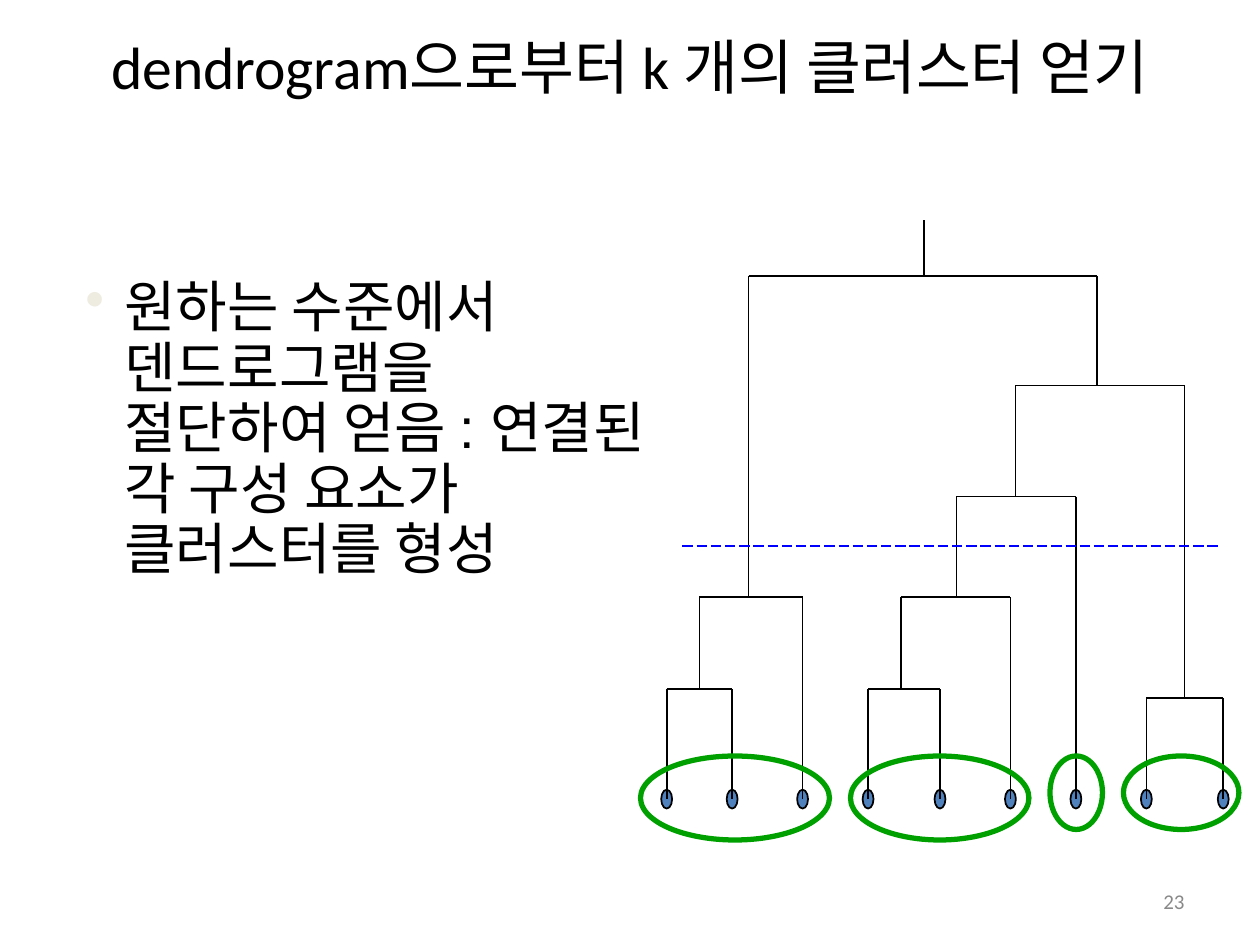
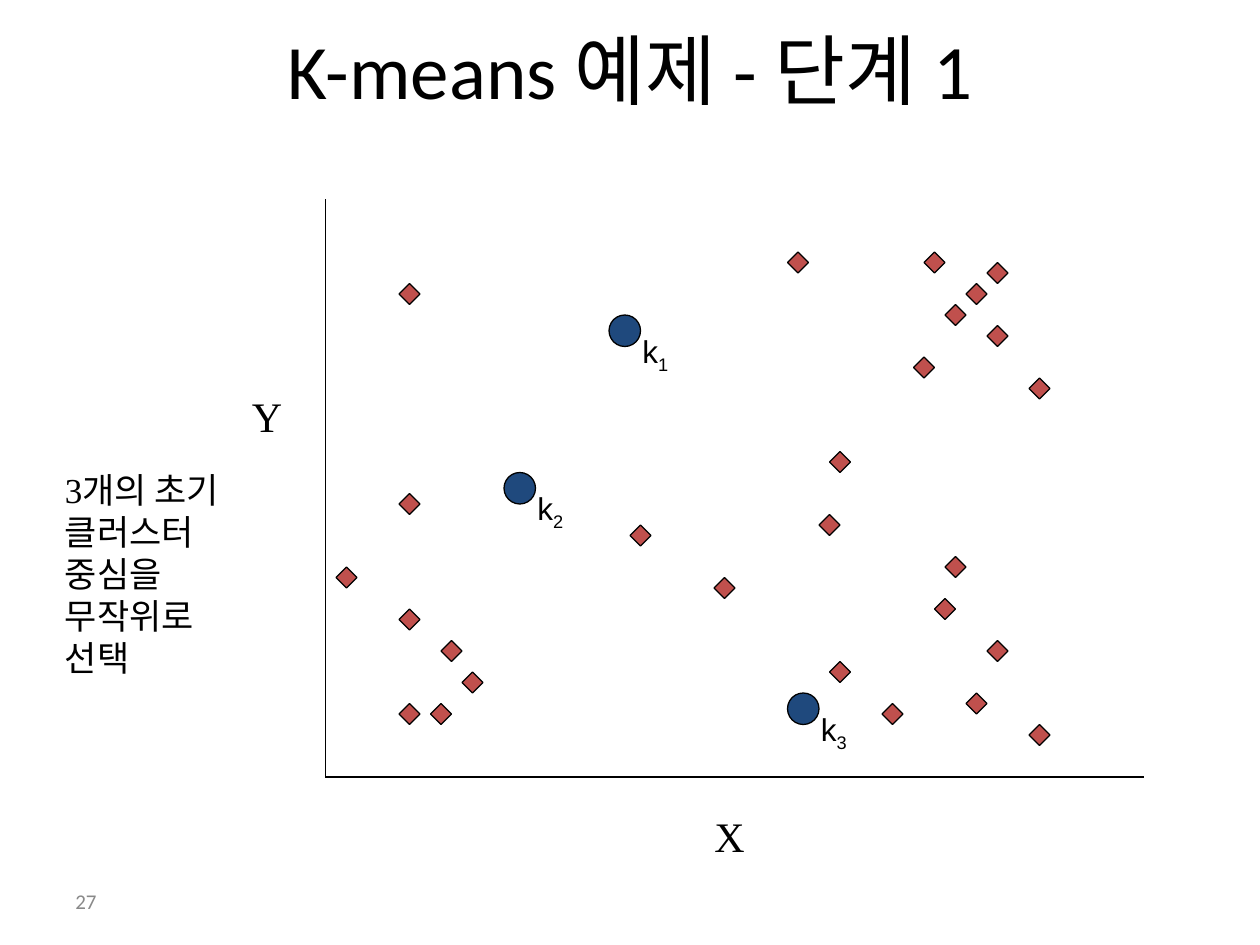
import pptx
import pptx.dml.color
import pptx.enum.dml
import pptx.enum.shapes
import pptx.enum.text
import pptx.oxml.ns
import pptx.util
from lxml import etree
from pptx.util import Cm

BLACK = "000000"
GREY = "898989"
LEAF_BLUE = "4F81BD"
CENTROID_BLUE = "1F497D"
POINT_RED = "C0504D"
RING_GREEN = "00A000"
CUT_BLUE = "0000FF"
BULLET_CREAM = "EEECE1"

HEADING_FONT = "Calibri"
LABEL_FONT = "Arial"
SERIF_FONT = "Times New Roman"

GRID_STEP = 2.54 / 12
LEAF_Y = 16.11

SHAPE = pptx.enum.shapes.MSO_SHAPE
ALIGN = pptx.enum.text.PP_ALIGN
ANCHOR = pptx.enum.text.MSO_ANCHOR


def color(hex_value):
    return pptx.dml.color.RGBColor.from_string(hex_value)


def cm(*values):
    return [Cm(value) for value in values]


def grid(*steps):
    """Turn counts of grid steps into lengths."""
    return [Cm(step * GRID_STEP) for step in steps]


def add_xml_child(parent, tag, **attributes):
    return etree.SubElement(parent, pptx.oxml.ns.qn(tag), attributes)


def add_bullet(paragraph, character, hex_value, margin, hanging):
    properties = paragraph._p.get_or_add_pPr()
    properties.set("marL", str(margin))
    properties.set("indent", str(-hanging))
    bullet_color = add_xml_child(properties, "a:buClr")
    add_xml_child(bullet_color, "a:srgbClr", val=hex_value)
    add_xml_child(properties, "a:buChar", char=character)


def add_text(slide, text, box, *, size, font, hex_value=BLACK, align=ALIGN.LEFT,
             anchor=ANCHOR.TOP, line_spacing=None, wrap=True, bullet=None,
             subscript=None):
    text_box = slide.shapes.add_textbox(*box)
    frame = text_box.text_frame
    frame.word_wrap = wrap
    frame.vertical_anchor = anchor
    paragraph = frame.paragraphs[0]
    paragraph.alignment = align
    if line_spacing:
        paragraph.line_spacing = line_spacing
    if bullet:
        add_bullet(paragraph, *bullet)
    paragraph.font.size = pptx.util.Pt(size)
    for part in filter(None, (text, subscript)):
        run = paragraph.add_run()
        run.text = part
        run.font.size = pptx.util.Pt(size)
        run.font.name = font
        run.font.color.rgb = color(hex_value)
    if subscript:
        run._r.get_or_add_rPr().set("baseline", "-25000")


def add_title(slide, text, box, size, **text_format):
    add_text(slide, text, box, size=size, font=HEADING_FONT, align=ALIGN.CENTER,
             **text_format)


def add_slide_number(slide, number, left, align):
    add_text(slide, number, cm(left, 17.65, 5.92, 1.02), size=12, font=HEADING_FONT,
             hex_value=GREY, align=align, anchor=ANCHOR.MIDDLE)


def add_marker(slide, kind, box, fill=None, line=BLACK, line_width=0.75):
    shape = slide.shapes.add_shape(kind, *box)
    shape.shadow.inherit = False
    if fill:
        shape.fill.solid()
        shape.fill.fore_color.rgb = color(fill)
    else:
        shape.fill.background()
    shape.line.color.rgb = color(line)
    shape.line.width = pptx.util.Pt(line_width)


def add_line(slide, ends, hex_value=BLACK, width=0.75, dash=None):
    connector = slide.shapes.add_connector(
        pptx.enum.shapes.MSO_CONNECTOR.STRAIGHT, *ends)
    add_xml_child(connector._element.spPr, "a:effectLst")
    connector.line.color.rgb = color(hex_value)
    connector.line.width = pptx.util.Pt(width)
    if dash:
        connector.line.dash_style = dash


def draw_branch(slide, node):
    """Draw a node (x, y, left child, right child); a leaf is a bare x."""
    x, y, *children = node
    child_nodes = [child if isinstance(child, tuple) else (child, LEAF_Y)
                   for child in children]
    if child_nodes:
        add_line(slide, cm(child_nodes[0][0], y, child_nodes[-1][0], y), width=1)
    for child in child_nodes:
        add_line(slide, cm(child[0], y, child[0], child[1]), width=1)
        draw_branch(slide, child)


def build_dendrogram_slide(slide):
    add_slide_number(slide, "23", 18.21, ALIGN.RIGHT)

    for x in (13.44, 14.76, 16.18, 17.5, 18.95, 20.37, 21.69, 23.11, 24.66):
        add_marker(slide, SHAPE.OVAL, cm(x - 0.11, LEAF_Y - 0.19, 0.22, 0.38),
                   LEAF_BLUE, line_width=1)

    left_cluster = (15.09, 12.04, (14.1, 13.89, 13.44, 14.76), 16.18)
    middle_cluster = (19.28, 12.04, (18.16, 13.89, 17.5, 18.95), 20.37)
    right_cluster = (23.88, 14.07, 23.11, 24.66)
    right_half = (22.12, 7.77, (20.47, 10.01, middle_cluster, 21.69), right_cluster)
    root = (18.62, 5.56, left_cluster, right_half)
    add_line(slide, cm(root[0], 4.44, root[0], root[1]), width=1)
    draw_branch(slide, root)

    add_text(slide, "원하는 수준에서 덴드로그램을 절단하여 얻음 : "
             "연결된 각 구성 요소가 클러스터를 형성",
             cm(0.2, 5.51, 13.13, 11), size=32, font=LABEL_FONT, line_spacing=0.9,
             bullet=("•", BULLET_CREAM, Cm(2.06), Cm(0.79)))

    add_line(slide, grid(65, 52, 116, 52), CUT_BLUE,
             dash=pptx.enum.dml.MSO_LINE.LONG_DASH)
    for left, width, height in ((61, 18, 8), (81, 17, 8), (100, 5, 7), (107, 11, 7)):
        add_marker(slide, SHAPE.OVAL, grid(left, 72, width, height),
                   line=RING_GREEN, line_width=3)

    add_title(slide, "dendrogram으로부터 k 개의 클러스터 얻기",
              cm(1.27, 0.76, 22.86, 3.18), 34.1, line_spacing=0.8)


def build_k_means_slide(slide):
    add_slide_number(slide, "27", 1.27, ALIGN.LEFT)
    add_title(slide, "K-means 예제 - 단계 1", grid(9, 3, 102, 7), 44,
              anchor=ANCHOR.MIDDLE)

    data_points = (
        (42, 61), (44, 64), (41, 67), (38, 58), (38, 27), (38, 47), (38, 67),
        (32, 54), (60, 50), (88, 24), (94, 25), (92, 27), (90, 29), (94, 31),
        (98, 36), (75, 24), (79, 43), (79, 63), (84, 67), (89, 57), (78, 49),
        (68, 55), (94, 61), (92, 66), (90, 53), (98, 69), (87, 34))
    for left, top in data_points:
        add_marker(slide, SHAPE.DIAMOND, grid(left, top, 2, 2), POINT_RED)

    centroids = ((58, 30), (48, 45), (75, 66))
    for number, (left, top) in enumerate(centroids, start=1):
        add_marker(slide, SHAPE.OVAL, grid(left, top, 3, 3), CENTROID_BLUE)
        add_text(slide, "k", grid(left + 2, top + 1, 7, 5), size=18,
                 font=LABEL_FONT, subscript=str(number))

    add_line(slide, grid(31, 19, 31, 74))
    add_line(slide, grid(31, 74, 109, 74))
    for name, left, top in (("X", 14.15, 16.21), ("Y", 4.83, 7.75)):
        add_text(slide, name, cm(left, top, 1.12, 1.27), size=24, font=SERIF_FONT,
                 wrap=False)
    add_text(slide, "3개의 초기 클러스터 중심을 무작위로 선택", grid(5, 44, 21, 21),
             size=20, font=SERIF_FONT)


def main():
    presentation = pptx.Presentation()
    presentation.slide_width = Cm(25.4)
    presentation.slide_height = Cm(19.05)
    blank_layout = presentation.slide_layouts[6]
    for build_slide in (build_dendrogram_slide, build_k_means_slide):
        build_slide(presentation.slides.add_slide(blank_layout))
    presentation.save("out.pptx")


if __name__ == "__main__":
    main()
